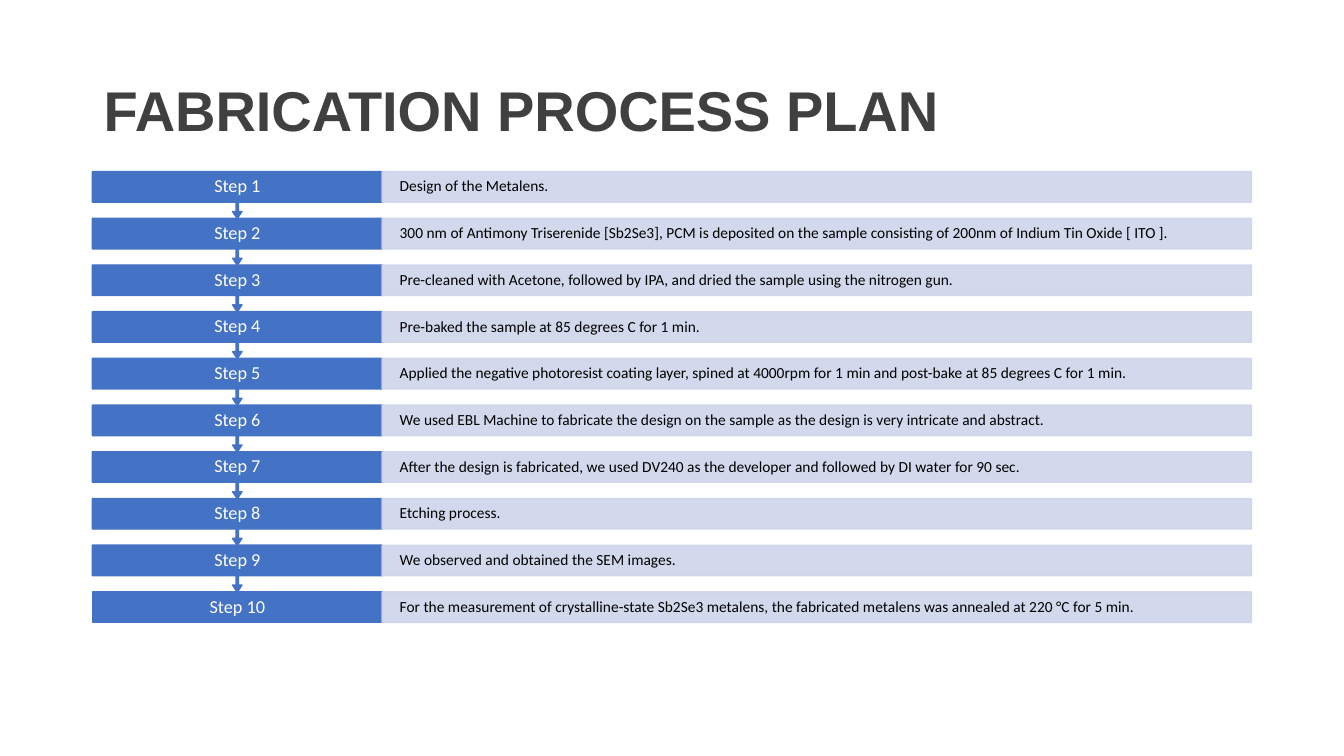
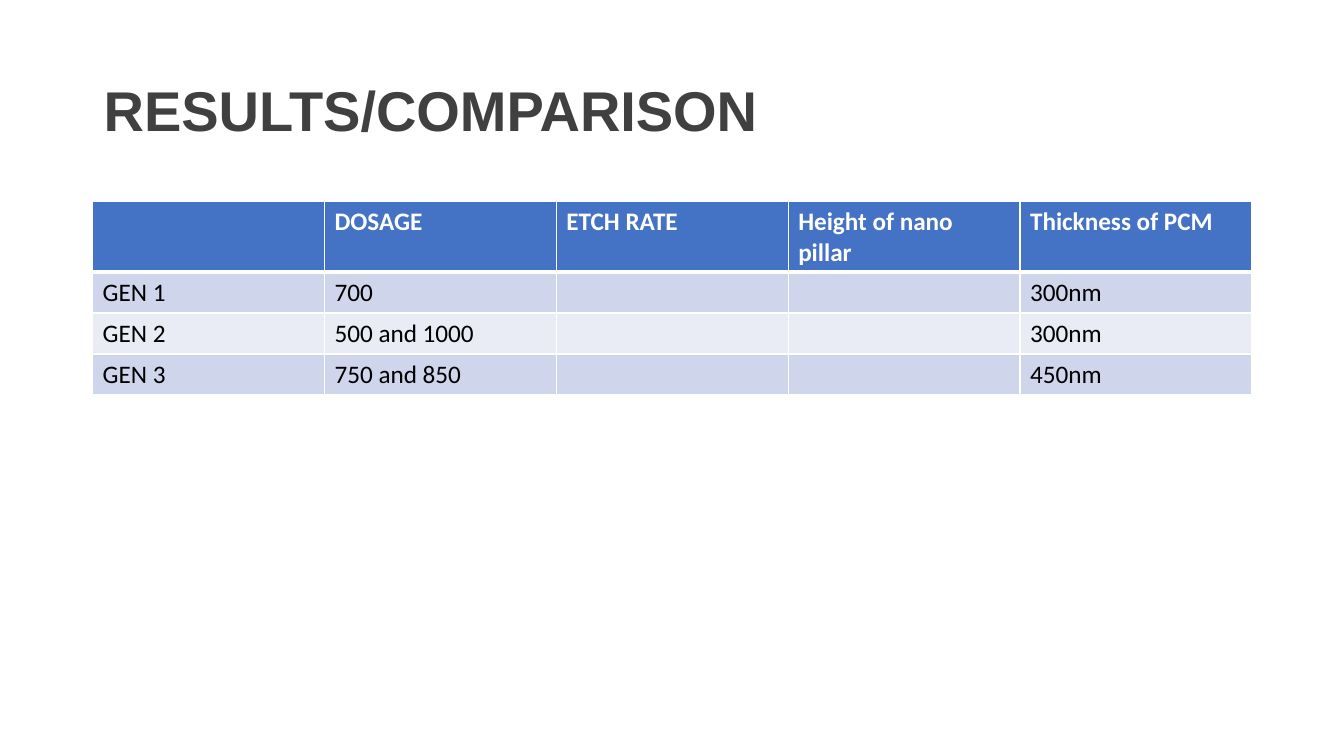
from lxml import etree
from pptx import Presentation
from pptx.dml import color
from pptx.enum import shapes, text
from pptx.oxml import ns
from pptx import util as u

Pt = u.Pt
HUES = {
    "blue": "4472C4",
    "pale": "CFD5EA",
    "light": "E9EBF5",
    "white": "FFFFFF",
    "black": "000000",
    "gray": "404040",
}
TITLE = {"name": "Arial", "size": Pt(40), "bold": True}
LABEL = {"name": "Calibri", "size": Pt(13), "bold": False}
NOTE = {"name": "Calibri", "size": Pt(11), "bold": False}
HEAD = {"name": "Calibri", "size": Pt(18), "bold": True}
BODY = {"name": "Calibri", "size": Pt(18), "bold": False}
LEFT = {"alignment": text.PP_ALIGN.LEFT, "line_spacing": 0.9}
MID = {"alignment": text.PP_ALIGN.CENTER, "line_spacing": 0.9}
CELL = {"alignment": text.PP_ALIGN.LEFT}

STEPS = [
    "Design of the Metalens.",
    "300 nm of Antimony Triserenide [Sb2Se3], PCM is deposited on the sample consisting of 200nm of Indium Tin Oxide [ ITO ].",
    "Pre-cleaned with Acetone, followed by IPA, and dried the sample using the nitrogen gun.",
    "Pre-baked the sample at 85 degrees C for 1 min.",
    "Applied the negative photoresist coating layer, spined at 4000rpm for 1 min and post-bake at 85 degrees C for 1 min.",
    "We used EBL Machine to fabricate the design on the sample as the design is very intricate and abstract.",
    "After the design is fabricated, we used DV240 as the developer and followed by DI water for 90 sec.",
    "Etching process.",
    "We observed and obtained the SEM images.",
    "For the measurement of crystalline-state Sb2Se3 metalens, the fabricated metalens was annealed at 220 °C for 5 min.",
]
RESULTS = [
    ["", "DOSAGE", "ETCH RATE", "Height of nano pillar", "Thickness of PCM"],
    ["GEN 1", "700", "", "", "300nm"],
    ["GEN 2", "500 and 1000", "", "", "300nm"],
    ["GEN 3", "750 and 850", "", "", "450nm"],
]


def hue(name):
    return color.RGBColor.from_string(HUES[name])


def style(item, vals):
    for key, val in vals.items():
        setattr(item, key, val)


def write(frame, words, font, ink, para):
    frame.text = words
    line = frame.paragraphs[0]
    style(line, para)
    style(line.font, font)
    line.font.color.rgb = hue(ink)


def add_title(slide, words, box):
    frame = slide.shapes.add_textbox(*map(Pt, box)).text_frame
    style(frame, {"word_wrap": True, "vertical_anchor": text.MSO_ANCHOR.MIDDLE})
    write(frame, words, TITLE, "gray", LEFT)


def add_block(slide, kind, box, fill, pad):
    block = slide.shapes.add_shape(kind, *map(Pt, box))
    block.shadow.inherit = False
    block.fill.solid()
    block.fill.fore_color.rgb = hue(fill)
    block.line.color.rgb = hue(fill)
    block.line.width = Pt(1)
    style(block.text_frame, {
        "word_wrap": True, "vertical_anchor": text.MSO_ANCHOR.MIDDLE,
        "margin_left": Pt(pad), "margin_right": Pt(pad),
        "margin_top": 0, "margin_bottom": 0,
    })
    return block


def fade(block, share):
    for tint in block._element.spPr.iter(ns.qn("a:srgbClr")):
        etree.SubElement(tint, ns.qn("a:alpha"), val=str(share * 1000))


def add_steps(slide, steps, box):
    left, top, width, height = box
    bar = 21.8
    pitch = (height - bar) / (len(steps) - 1)
    side = width / 4
    for i, note in enumerate(steps):
        y = top + i * pitch
        if i < len(steps) - 1:
            kind, tall = shapes.MSO_SHAPE.DOWN_ARROW_CALLOUT, pitch + 0.2
        else:
            kind, tall = shapes.MSO_SHAPE.RECTANGLE, bar
        tag = add_block(slide, kind, (left, y, side, tall), "blue", 14.4)
        for n, part in enumerate((0.05, 0.1, 0.15, 0.65)[:len(tag.adjustments)]):
            tag.adjustments[n] = part
        write(tag.text_frame, f"Step {i + 1}", LABEL, "white", MID)
        row = (left + side, y, width - side, bar)
        strip = add_block(slide, shapes.MSO_SHAPE.RECTANGLE, row, "pale", 12.5)
        fade(strip, 90)
        write(strip.text_frame, note, NOTE, "black", LEFT)


def edge(cell, side, width):
    props = cell._tc.get_or_add_tcPr()
    line = etree.SubElement(props, ns.qn(f"a:ln{side}"), w=str(Pt(width)))
    fill = etree.SubElement(line, ns.qn("a:solidFill"))
    etree.SubElement(fill, ns.qn("a:srgbClr"), val=HUES["white"])


def add_grid(slide, rows, box):
    frame = slide.shapes.add_table(len(rows), len(rows[0]), *map(Pt, box))
    table = frame.table
    table.horz_banding = False
    low = 29.2
    for col in table.columns:
        col.width = Pt(box[2] / len(rows[0]))
    for r, row in enumerate(rows):
        table.rows[r].height = Pt(low if r else box[3] - low * (len(rows) - 1))
        font, ink = (BODY, "black") if r else (HEAD, "white")
        fill = ("pale" if r % 2 else "light") if r else "blue"
        for c, words in enumerate(row):
            cell = table.cell(r, c)
            thick = {"L": 1, "R": 1, "T": 3 if r == 1 else 1, "B": 1 if r else 3}
            for side, width in thick.items():
                edge(cell, side, width)
            cell.fill.solid()
            cell.fill.fore_color.rgb = hue(fill)
            write(cell.text_frame, words, font, ink, CELL)


def main():
    deck = Presentation()
    style(deck, {"slide_width": Pt(960), "slide_height": Pt(540)})
    pages = [
        ("FABRICATION PROCESS PLAN", add_steps, STEPS, (66, 122.6, 828, 322)),
        ("RESULTS/COMPARISON", add_grid, RESULTS, (66.2, 144, 828, 138)),
    ]
    for name, draw, data, box in pages:
        slide = deck.slides.add_slide(deck.slide_layouts[6])
        add_title(slide, name, (67, 39.6, 826.6, 82.8))
        draw(slide, data, box)
    deck.save("out.pptx")


if __name__ == "__main__":
    main()
